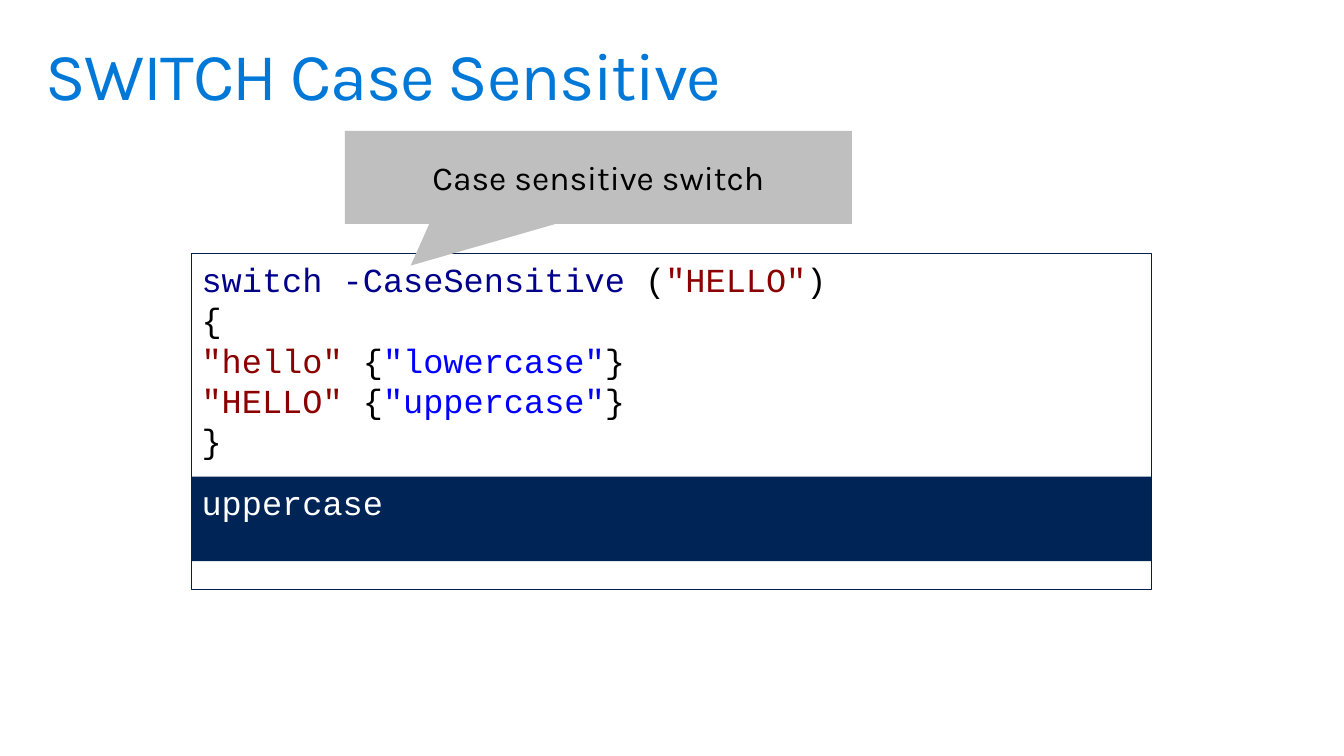
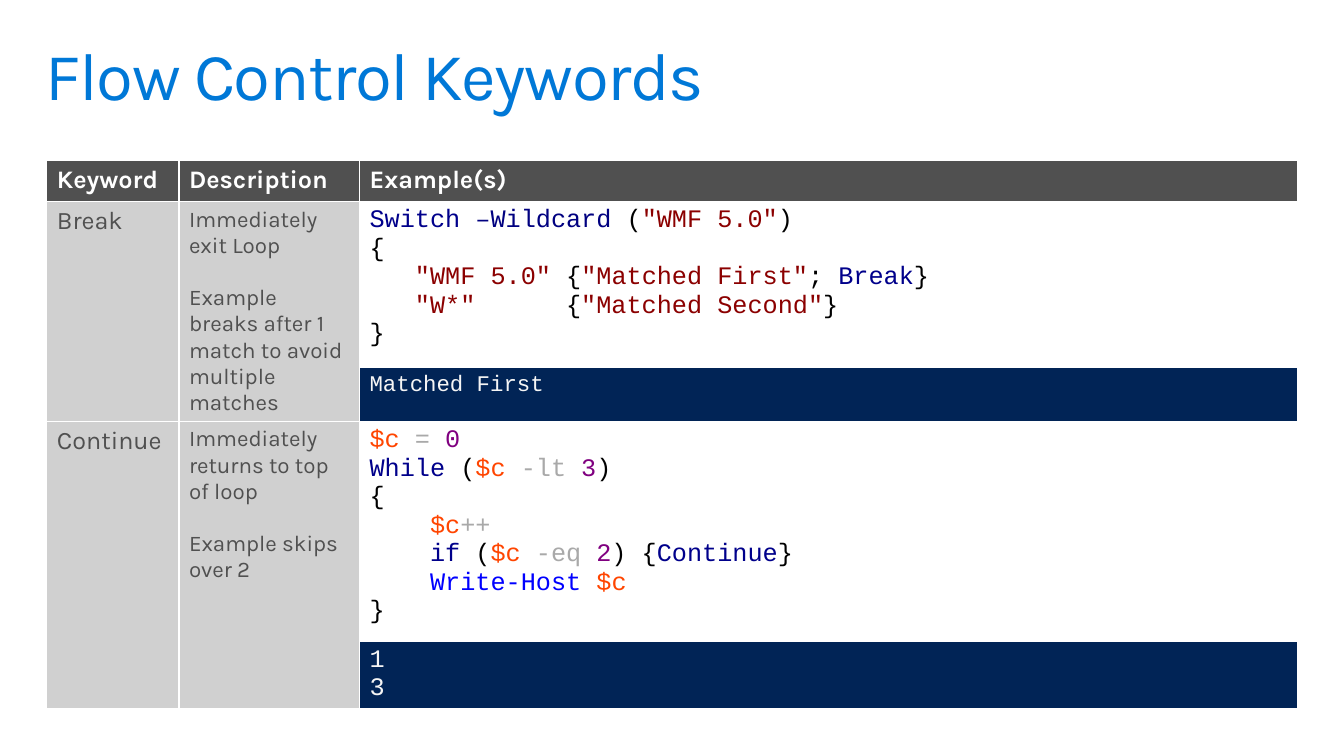
import pptx
import pptx.dml.color
import pptx.enum.shapes
import pptx.enum.text
import pptx.oxml
import pptx.oxml.ns
import pptx.util
from pptx.util import Cm

COLOURS = {
    "title": "0078D7", "black": "000000", "white": "FFFFFF", "console": "012456",
    "outline": "001F4E", "callout": "BFBFBF", "header": "505050", "label": "D0D0D0",
    "output": "F5F5F5", "keyword": "00008B", "parameter": "000080", "string": "8B0000",
    "command": "0000FF", "variable": "FF4500", "operator": "A9A9A9", "number": "800080",
}
TITLE = {"name": "Karla", "size": pptx.util.Pt(48), "bold": False}
CALLOUT = {"name": "Karla", "size": pptx.util.Pt(24)}
BIG_CODE = {"name": "Courier New", "size": pptx.util.Pt(24)}
CODE = {"name": "Courier New", "size": pptx.util.Pt(18), "bold": False}
SMALL_CODE = {**CODE, "size": pptx.util.Pt(16)}
HEADER = {"name": "Karla", "size": pptx.util.Pt(18), "bold": True}
LABEL = {**HEADER, "bold": False}
DESCRIPTION = {**LABEL, "size": pptx.util.Pt(16)}
LEFT = pptx.enum.text.PP_ALIGN.LEFT
TOP = pptx.enum.text.MSO_ANCHOR.TOP


def rgb(name):
    return pptx.dml.color.RGBColor.from_string(COLOURS[name])


def write(frame, lines, style, align=LEFT, gap=0):
    """Fill a text frame with one paragraph per line of (text, colour) spans."""
    for number, line in enumerate(lines):
        para = frame.add_paragraph() if number else frame.paragraphs[0]
        para.alignment = align
        if number and gap:
            para.space_before = pptx.util.Pt(gap)
        for text, colour in line:
            span = para.add_run()
            span.text = text
            for attribute, value in style.items():
                setattr(span.font, attribute, value)
            span.font.color.rgb = rgb(colour)


deck = pptx.Presentation()
deck.slide_width, deck.slide_height = Cm(33.87), Cm(19.05)

# Shared title position, held by the layout
layout = deck.slide_layouts[5]
heading = layout.placeholders[0]
heading.left, heading.top, heading.width, heading.height = Cm(0.74), Cm(0.81), Cm(32.39), Cm(2.49)

# Pages with their titles
pages = []
for title in ("SWITCH Case Sensitive", "Flow Control Keywords"):
    page = deck.slides.add_slide(layout)
    pages.append(page)
    frame = page.shapes.title.text_frame
    frame_format = {
        "margin_left": Cm(0.41), "margin_right": Cm(0.41),
        "margin_top": Cm(0.25), "margin_bottom": Cm(0.25),
        "vertical_anchor": TOP, "word_wrap": True,
        "auto_size": pptx.enum.text.MSO_AUTO_SIZE.NONE,
    }
    for attribute, value in frame_format.items():
        setattr(frame, attribute, value)
    write(frame, [[(title, "title")]], TITLE)
    para = frame.paragraphs[0]
    para.line_spacing = 0.9
    para.runs[0].font._element.set("spc", "-100")

# Slide 1: code, its output and a callout
switch_code = [
    [("switch -CaseSensitive ", "keyword"), ("(", "black"), ('"HELLO"', "string"), (")", "black")],
    [("{", "black")],
    [('"hello"', "string"), (" {", "black"), ('"lowercase"', "command"), ("}", "black")],
    [('"HELLO"', "string"), (" {", "black"), ('"uppercase"', "command"), ("}", "black")],
    [("}", "black")],
]
SHAPES = pptx.enum.shapes.MSO_SHAPE
MIDDLE = pptx.enum.text.MSO_ANCHOR.MIDDLE
CENTER = pptx.enum.text.PP_ALIGN.CENTER
boxes = [
    (SHAPES.RECTANGLE, (4.83, 6.4, 24.18, 8.46), "white", "outline",
     switch_code, BIG_CODE, LEFT, TOP),
    (SHAPES.RECTANGLE, (4.83, 12.01, 24.18, 2.13), "console", None,
     [[("uppercase", "white")]], BIG_CODE, LEFT, TOP),
    (SHAPES.RECTANGULAR_CALLOUT, (8.69, 3.3, 12.78, 2.34), "callout", None,
     [[("Case sensitive switch", "black")]], CALLOUT, CENTER, MIDDLE),
]
for kind, place, fill, line, lines, style, align, anchor in boxes:
    box = pages[0].shapes.add_shape(kind, *map(Cm, place))
    box.shadow.inherit = False
    box.fill.solid()
    box.fill.fore_color.rgb = rgb(fill)
    if line:
        box.line.color.rgb = rgb(line)
        box.line.width = pptx.util.Pt(0.75)
    else:
        box.line.fill.background()
    if kind == SHAPES.RECTANGULAR_CALLOUT:
        box.adjustments[0], box.adjustments[1] = -0.37, 0.95
    box.text_frame.word_wrap = True
    box.text_frame.vertical_anchor = anchor
    write(box.text_frame, lines, style, align)

# Slide 2: table of keywords
break_code = [
    [("Switch ", "keyword"), ("–Wildcard", "parameter"), (" (", "black"),
     ('"WMF 5.0"', "string"), (")", "black")],
    [("{", "black")],
    [("   ", "black"), ('"WMF 5.0"', "string"), (" {", "black"), ('"Matched First"', "string"),
     ("; ", "black"), ("Break", "keyword"), ("}", "black")],
    [("   ", "black"), ('"W*"', "string"), ("      {", "black"), ('"Matched Second"', "string"),
     ("}", "black")],
    [("}", "black")],
]
continue_code = [
    [("$c ", "variable"), ("= ", "operator"), ("0", "number")],
    [("While", "keyword"), (" (", "black"), ("$c ", "variable"), ("-lt ", "operator"),
     ("3", "number"), (")", "black")],
    [("{", "black")],
    [("    ", "black"), ("$c", "variable"), ("++", "operator")],
    [("    ", "black"), ("if", "keyword"), (" (", "black"), ("$c ", "variable"),
     ("-eq ", "operator"), ("2", "number"), (") {", "black"), ("Continue", "keyword"),
     ("}", "black")],
    [("    ", "black"), ("Write-Host ", "command"), ("$c", "variable")],
    [("}", "black")],
]
keywords = [
    ("Break", ("Immediately exit Loop", "Example breaks after 1 match to avoid multiple matches"),
     break_code, ["Matched First"], SMALL_CODE),
    ("Continue", ("Immediately returns to top of loop", "Example skips over 2"),
     continue_code, ["1", "3"], CODE),
]
widths = (3.33, 4.55, 23.65)
heights = (1.04, 4.19, 1.35, 5.54, 1.66)
table = pages[1].shapes.add_table(
    len(heights), len(widths), Cm(1.18), Cm(4.04), Cm(sum(widths)), Cm(sum(heights))).table
for column, width in zip(table.columns, widths):
    column.width = Cm(width)
for row, height in zip(table.rows, heights):
    row.height = Cm(height)

# Cell fills and thin white borders
for row_number, row in enumerate(table.rows):
    for column_number, cell in enumerate(row.cells):
        for side in ("lnL", "lnR", "lnT", "lnB"):
            cell._tc.get_or_add_tcPr().append(pptx.oxml.parse_xml(
                f'<a:{side} {pptx.oxml.ns.nsdecls("a")} w="12700"><a:solidFill>'
                f'<a:srgbClr val="{COLOURS["white"]}"/></a:solidFill></a:{side}>'))
        if row_number == 0:
            fill = "header"
        elif column_number < 2:
            fill = "label"
        else:
            fill = "white" if row_number % 2 else "console"
        cell.fill.solid()
        cell.fill.fore_color.rgb = rgb(fill)

# Cell text: each keyword takes a code row and an output row
for column_number, text in enumerate(("Keyword", "Description", "Example(s)")):
    write(table.cell(0, column_number).text_frame, [[(text, "white")]], HEADER)
for number, (keyword, description, code, output, output_style) in enumerate(keywords):
    first = 1 + 2 * number
    for column_number in range(2):
        table.cell(first, column_number).merge(table.cell(first + 1, column_number))
    write(table.cell(first, 0).text_frame, [[(keyword, "header")]], LABEL)
    write(table.cell(first, 1).text_frame, [[(text, "header")] for text in description],
          DESCRIPTION, gap=18.7)
    write(table.cell(first, 2).text_frame, code, CODE)
    write(table.cell(first + 1, 2).text_frame, [[(text, "output")] for text in output],
          output_style)

deck.save("out.pptx")
